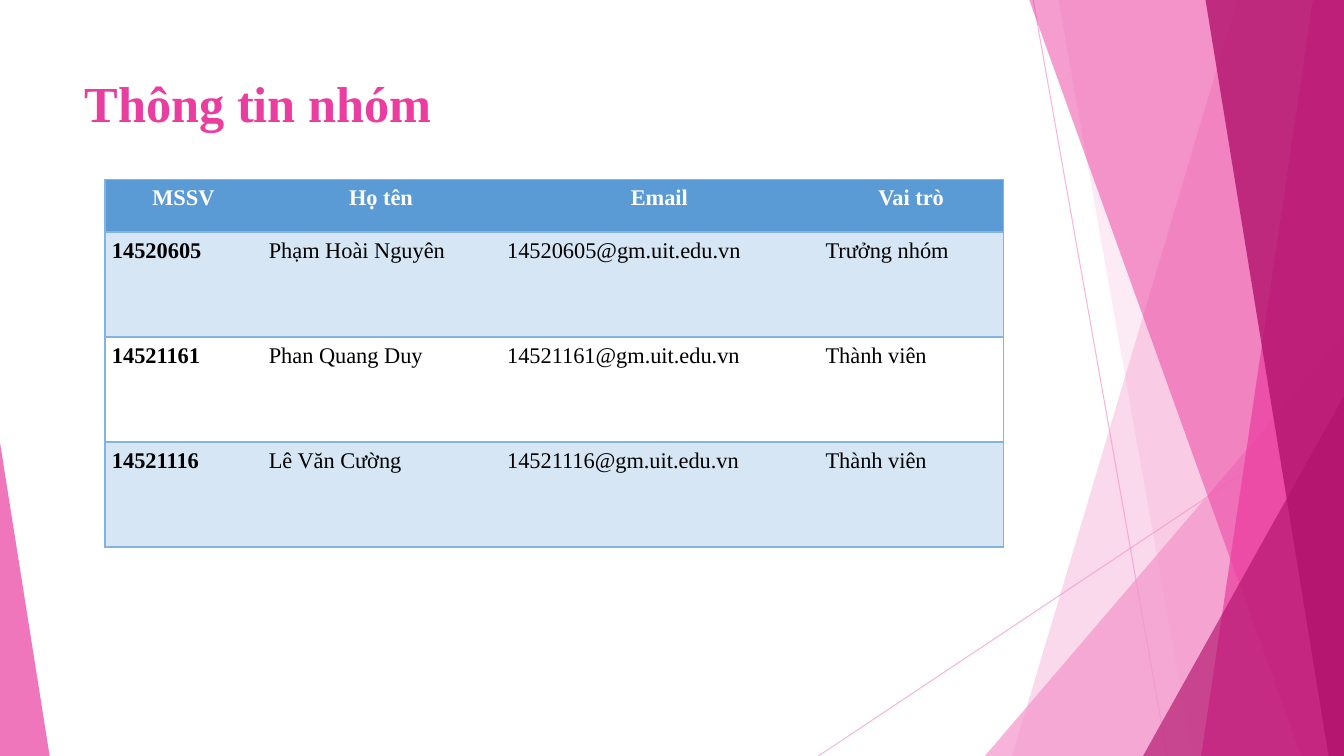
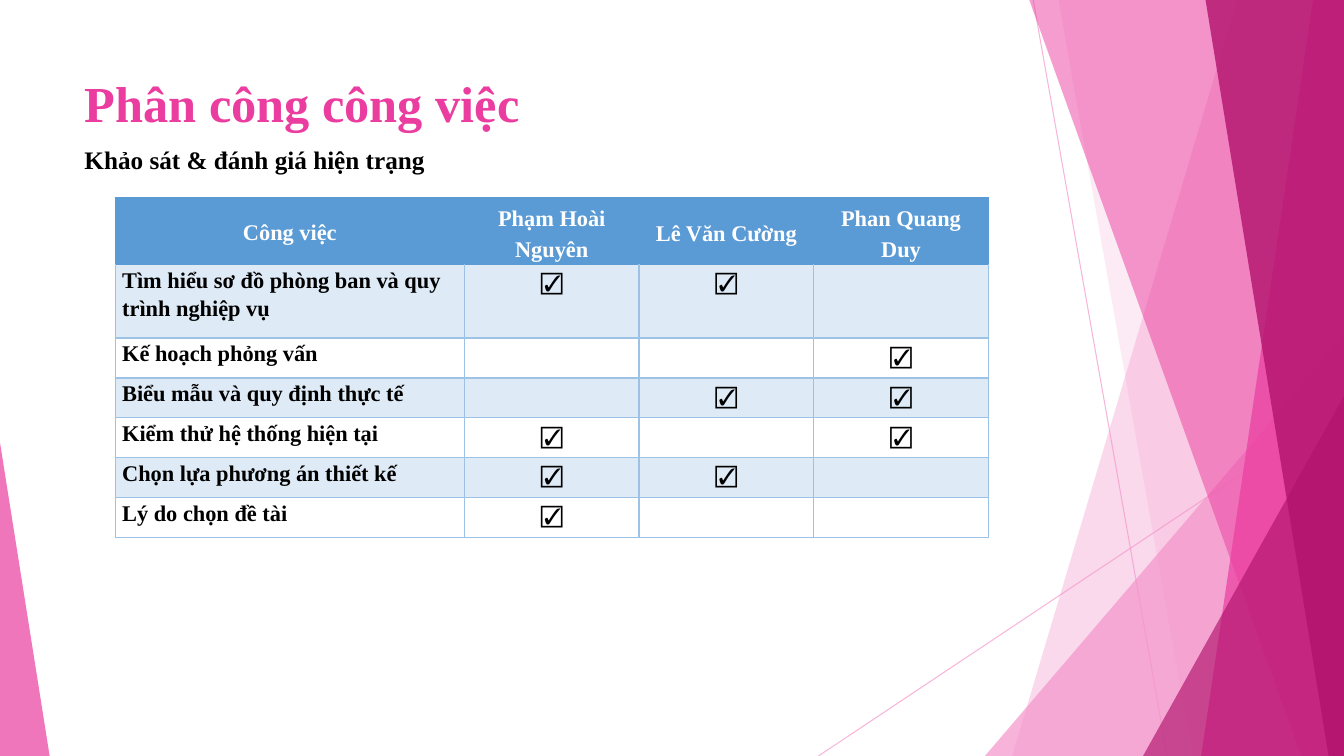
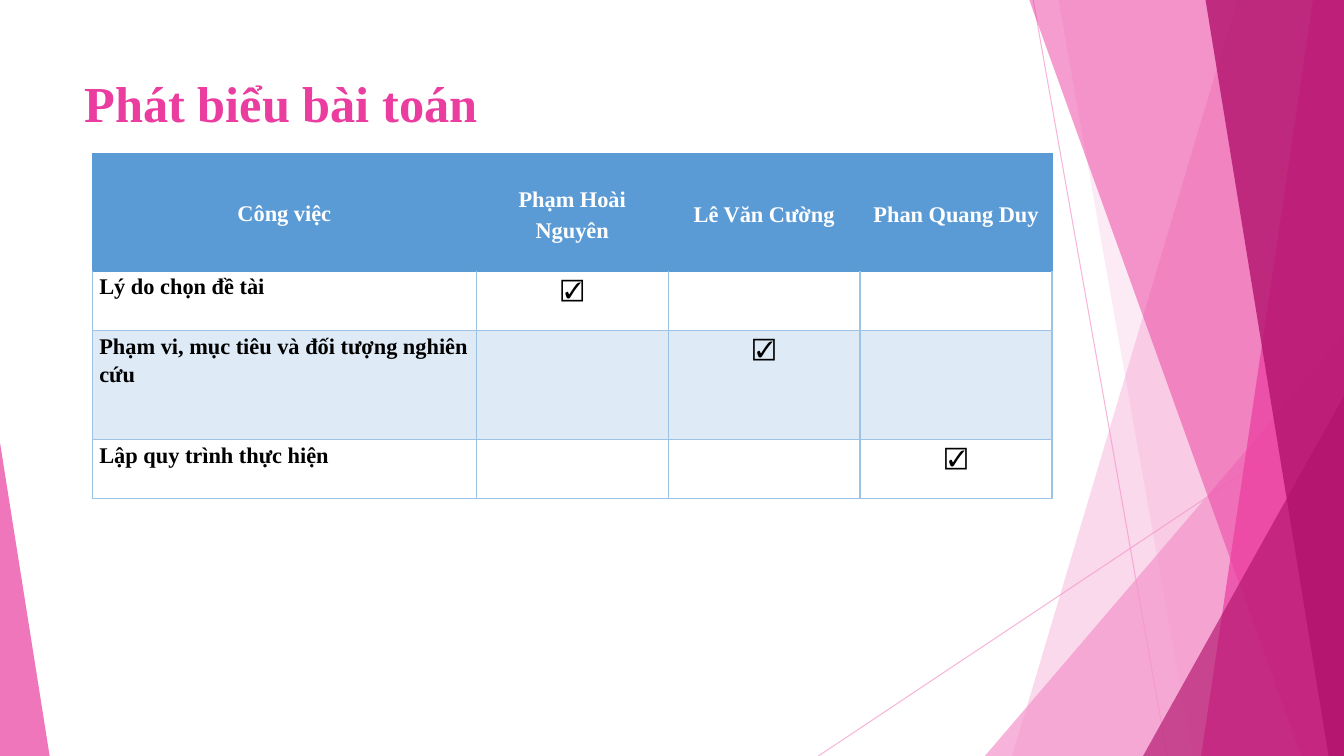
from dataclasses import dataclass

from lxml import etree
from pptx import Presentation
from pptx.dml.color import RGBColor
from pptx.enum import shapes, text
from pptx.oxml import ns
from pptx.util import Pt

ROSE = RGBColor(0xF4, 0x96, 0xCB)
PINK = RGBColor(0xEB, 0x3D, 0x9F)
PLUM = RGBColor(0xB2, 0x13, 0x6D)
WHITE = RGBColor(0xFF, 0xFF, 0xFF)
BLACK = RGBColor(0, 0, 0)
BLUE = RGBColor(0x5B, 0x9B, 0xD5)
MID_BLUE = RGBColor(0x84, 0xB3, 0xDF)
SOFT_BLUE = RGBColor(0x9C, 0xC2, 0xE5)
TEAM_BAND = RGBColor(0xD6, 0xE6, 0xF4)
TASK_BAND = RGBColor(0xDE, 0xEA, 0xF6)

FONT = "Times New Roman"
WIDTH, HEIGHT = 960, 540
TITLE_LEFT = 53.3
TICK = "\u2611"
MEMBERS = ("Phạm Hoài Nguyên", "Lê Văn Cường", "Phan Quang Duy")

RAYS = [((738, 0), (833.75, HEIGHT)), ((WIDTH, 290), (584.6, HEIGHT))]
FACETS = [
    (ROSE, 36, 884, 723),
    (ROSE, 20, 756, 851.75),
    (ROSE, 72, (703.5, 240, 256.5, 300), 1),
    (PINK, 50, 735, 929.5),
    (PINK, 70, 938, 858),
    (PLUM, 80, 861, 949),
    (PLUM, 66, (816.5, 283, 143.5, 257), 1),
    (PINK, 70, (0, 316, 35.5, 224), 0),
]


@dataclass
class GridStyle:
    """Colours and text rules of one kind of table."""

    band: RGBColor
    banded_row: int
    edge: RGBColor
    header_edge: RGBColor
    inner_edge: RGBColor | None
    header_anchor: text.MSO_ANCHOR
    label_spacing: float
    value_align: text.PP_ALIGN


def add_run(paragraph, words, size, color, bold):
    """Append one run in the shared typeface."""
    run = paragraph.add_run()
    run.text = words
    font = run.font
    font.name, font.size, font.bold = FONT, Pt(size), bold
    font.color.rgb = color


def set_alpha(fill_parent, percent):
    """Make the solid colour below an element partly transparent."""
    color = fill_parent.find(".//" + ns.qn("a:srgbClr"))
    etree.SubElement(color, ns.qn("a:alpha")).set("val", str(percent * 1000))


def add_ray(slide, start, end):
    """Draw one thin slanting line."""
    ray = slide.shapes.add_connector(
        shapes.MSO_CONNECTOR.STRAIGHT, *map(Pt, start + end))
    ray.line.color.rgb = ROSE
    ray.line.width = Pt(0.75)
    properties = ray.line._get_or_add_ln().getparent()
    set_alpha(properties, 70)
    etree.SubElement(properties, ns.qn("a:effectLst"))


def add_facet(slide, color, opacity, place, foot):
    """Draw a corner triangle, or a band from a top edge to its foot."""
    if isinstance(place, tuple):
        facet = slide.shapes.add_shape(
            shapes.MSO_SHAPE.ISOSCELES_TRIANGLE, *map(Pt, place))
        facet.adjustments[0] = foot
    else:
        outline = slide.shapes.build_freeform(Pt(place), Pt(-0.7))
        corners = [(WIDTH, -0.7), (WIDTH, HEIGHT), (foot, HEIGHT)]
        outline.add_line_segments([(Pt(x), Pt(y)) for x, y in corners])
        facet = outline.convert_to_shape()
    facet.shadow.inherit = False
    facet.line.fill.background()
    facet.fill.solid()
    facet.fill.fore_color.rgb = color
    set_alpha(facet._element.spPr, opacity)


def add_heading(slide, box, words, size, color, wrap=True):
    """Place one bold line of text in the given box."""
    heading = slide.shapes.add_textbox(*map(Pt, box)).text_frame
    heading.word_wrap = wrap
    add_run(heading.paragraphs[0], words, size, color, True)


def new_slide(deck, title):
    """Add a slide with the shared backdrop and title."""
    slide = deck.slides.add_slide(deck.slide_layouts[6])
    for start, end in RAYS:
        add_ray(slide, start, end)
    for facet in FACETS:
        add_facet(slide, *facet)
    add_heading(slide, (TITLE_LEFT, 48.2, 676.8, 45), title, 36, PINK)
    return slide


def set_edges(cell, colors):
    """Set the left, right, top and bottom borders of a cell."""
    properties = cell._tc.get_or_add_tcPr()
    for side, color in zip("LRTB", colors):
        edge = etree.SubElement(properties, ns.qn("a:ln" + side), w=str(Pt(1)))
        if color is None:
            etree.SubElement(edge, ns.qn("a:noFill"))
        else:
            solid = etree.SubElement(edge, ns.qn("a:solidFill"))
            etree.SubElement(solid, ns.qn("a:srgbClr"), val=str(color))


def fill_cell(cell, words, row, column, last_column, style):
    """Format one cell by its place in the grid and write its words."""
    header, label = row == 0, column == 0
    edge = style.header_edge if header else style.edge
    inner = None if header else style.inner_edge
    set_edges(cell, (edge if label else inner,
                     edge if column == last_column else inner,
                     style.header_edge if row <= 1 else edge, edge))
    if header or row % 2 == style.banded_row:
        cell.fill.solid()
        cell.fill.fore_color.rgb = BLUE if header else style.band
    else:
        cell.fill.background()
    cell.margin_left = cell.margin_right = Pt(5)
    cell.margin_top = cell.margin_bottom = 0
    cell.vertical_anchor = (
        style.header_anchor if header else text.MSO_ANCHOR.TOP)
    paragraph = cell.text_frame.paragraphs[0]
    paragraph.line_spacing = style.label_spacing if label else 1.25
    if header:
        paragraph.alignment = text.PP_ALIGN.CENTER
    else:
        paragraph.alignment = (
            text.PP_ALIGN.LEFT if label else style.value_align)
    if words:
        add_run(paragraph, words, 16, WHITE if header else BLACK,
                header or label)
    else:
        paragraph.font.size = Pt(16)


def add_grid(slide, left, top, widths, heights, rows, style):
    """Place a table whose size follows from its columns and rows."""
    grid = slide.shapes.add_table(
        len(rows), len(widths), Pt(left), Pt(top),
        Pt(sum(widths)), Pt(sum(heights))).table
    grid.horz_banding = False
    for column, width in zip(grid.columns, widths):
        column.width = Pt(width)
    for r, (height, values) in enumerate(zip(heights, rows)):
        grid.rows[r].height = Pt(height)
        for c, words in enumerate(values):
            fill_cell(grid.cell(r, c), words, r, c, len(widths) - 1, style)


def add_task_grid(slide, left, top, member_width, heights, tasks, banded_row):
    """Place a table that ticks who does each task."""
    rows = [("Công việc", *MEMBERS)]
    for task, doers in tasks:
        rows.append((task, *(TICK if i in doers else "" for i in range(3))))
    style = GridStyle(TASK_BAND, banded_row, SOFT_BLUE, BLUE, SOFT_BLUE,
                      text.MSO_ANCHOR.MIDDLE, 1.15, text.PP_ALIGN.CENTER)
    widths = [2 * member_width] + [member_width] * 3
    add_grid(slide, left, top, widths, heights, rows, style)


def team_slide(deck):
    """Build the slide that lists the group members."""
    slide = new_slide(deck, "Thông tin nhóm")
    roster = [("14520605", MEMBERS[0], "Trưởng nhóm"),
              ("14521161", MEMBERS[2], "Thành viên"),
              ("14521116", MEMBERS[1], "Thành viên")]
    rows = [("MSSV", "Họ tên", "Email", "Vai trò")]
    rows += [(code, name, code + "@gm.uit.edu.vn", role)
             for code, name, role in roster]
    style = GridStyle(TEAM_BAND, 1, MID_BLUE, MID_BLUE, None,
                      text.MSO_ANCHOR.TOP, 1.25, text.PP_ALIGN.LEFT)
    add_grid(slide, 75, 128.3, [112, 170.25, 227.5, 132.25],
             [37.5, 75, 75, 75], rows, style)


def survey_slide(deck):
    """Build the slide that shares out the survey tasks."""
    slide = new_slide(deck, "Phân công công việc")
    add_heading(slide, (TITLE_LEFT, 99.4, 260, 29),
                "Khảo sát & đánh giá hiện trạng", 18, BLACK, wrap=False)
    tasks = [
        ("Tìm hiểu sơ đồ phòng ban và quy trình nghiệp vụ", (0, 1)),
        ("Kế hoạch phỏng vấn", (2,)),
        ("Biểu mẫu và quy định thực tế", (1, 2)),
        ("Kiểm thử hệ thống hiện tại", (0, 2)),
        ("Chọn lựa phương án thiết kế", (0, 1)),
        ("Lý do chọn đề tài", (0,)),
    ]
    heights = [28.5, 52.5] + [28.5] * 5
    add_task_grid(slide, 82.3, 141, 124.75, heights, tasks, 1)


def problem_slide(deck):
    """Build the slide that shares out the problem statement."""
    slide = new_slide(deck, "Phát biểu bài toán")
    tasks = [
        ("Lý do chọn đề tài", (0,)),
        ("Phạm vi, mục tiêu và đối tượng nghiên cứu", (1,)),
        ("Lập quy trình thực hiện", (2,)),
    ]
    add_task_grid(slide, 66, 109.5, 137.1, [84.25, 42.25, 78, 42.25], tasks, 0)


def main():
    """Build and save the deck."""
    deck = Presentation()
    deck.slide_width, deck.slide_height = Pt(WIDTH), Pt(HEIGHT)
    team_slide(deck)
    survey_slide(deck)
    problem_slide(deck)
    deck.save("out.pptx")


main()
